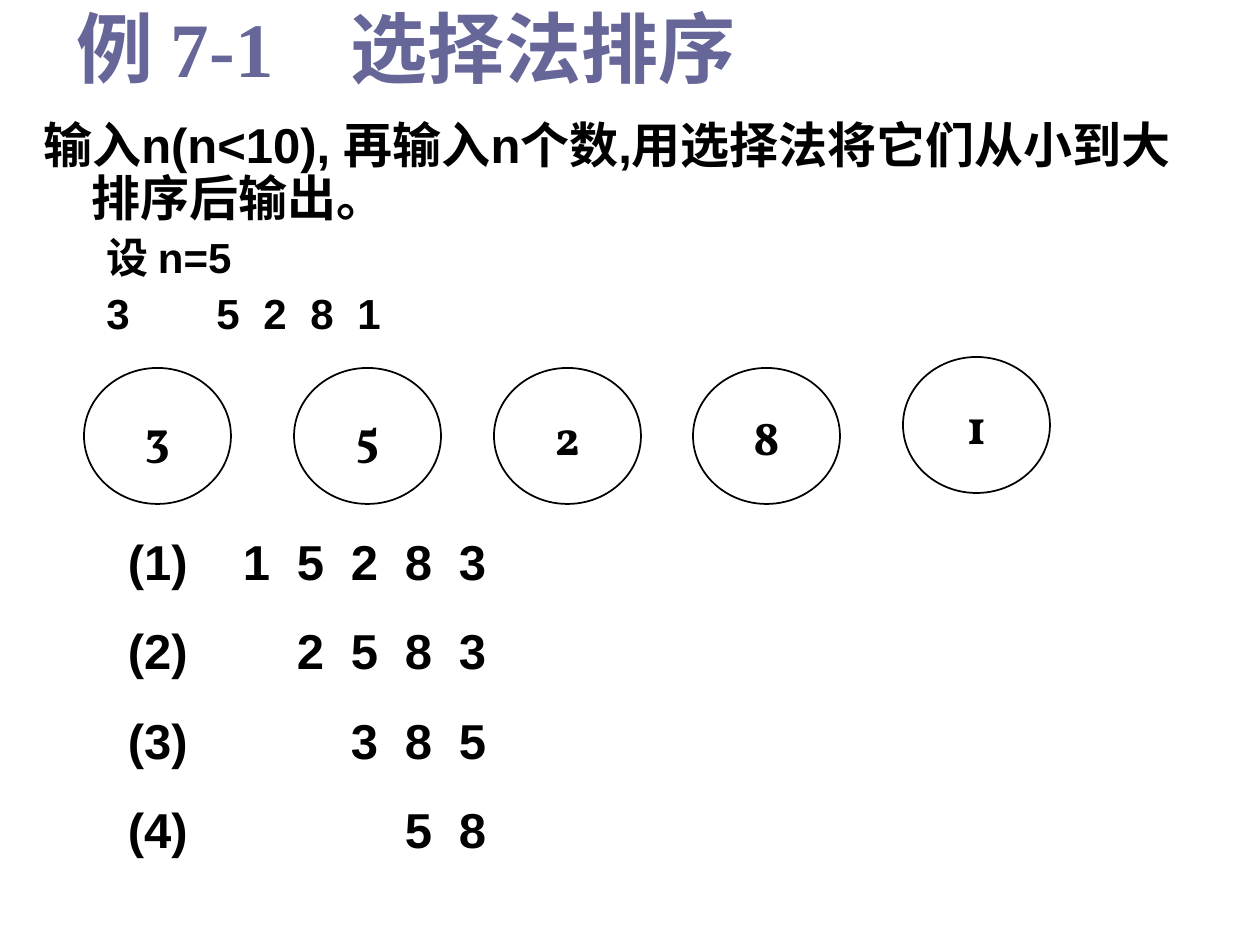
"""Build the selection sort example slide."""
from pptx import Presentation
from pptx import util as u
from pptx.dml.color import RGBColor
from pptx.enum import shapes, text
from pptx.oxml.ns import qn
from lxml import etree

PX = u.Inches(1) // 126
THEME = {
    "ink": RGBColor.from_string("000000"),
    "title_ink": RGBColor.from_string("666699"),
    "title_font": "Times New Roman",
    "body_font": "Arial",
    "circle_font": "Vollkorn",
    "title_size": 44,
    "body_size": 28,
    "small_size": 24,
}


def box(s, left, top, width, height):
    tf = s.shapes.add_textbox(left * PX, top * PX, width * PX, height * PX).text_frame
    tf.word_wrap = True
    return tf


def write(p, words, font, size, color="ink", margin=0, indent=0, tabs=()):
    pPr = p._p.get_or_add_pPr()
    if margin:
        pPr.set("marL", str(margin * PX))
    if indent:
        pPr.set("indent", str(indent * PX))
    if tabs:
        tab_list = etree.SubElement(pPr, qn("a:tabLst"))
        for pos in tabs:
            etree.SubElement(tab_list, qn("a:tab"), pos=str(pos * PX), algn="l")
    r = p.add_run()
    r.text = words
    r.font.name = THEME[font]
    r.font.size = u.Pt(THEME[size])
    r.font.bold = True
    r.font.color.rgb = THEME[color]


prs = Presentation()
prs.slide_width, prs.slide_height = 1260 * PX, 945 * PX
s = prs.slides.add_slide(prs.slide_layouts[6])
numbers = ["3", "5", "2", "8", "1"]

tf = box(s, 64, 0, 1061, 94)
tf.vertical_anchor = text.MSO_ANCHOR.MIDDLE
write(tf.paragraphs[0], "例 7-1\t选择法排序", "title_font", "title_size", "title_ink", tabs=[274])

for number, left, top in zip(numbers, [84, 294, 494, 693, 903], [368, 368, 368, 368, 357]):
    sp = s.shapes.add_shape(shapes.MSO_SHAPE.OVAL, left * PX, top * PX, 147 * PX, 136 * PX)
    sp.shadow.inherit = False
    sp.fill.background()
    sp.line.color.rgb = THEME["ink"]
    sp.line.width = u.Pt(1)
    tf = sp.text_frame
    tf.word_wrap = False
    tf.vertical_anchor = text.MSO_ANCHOR.MIDDLE
    p = tf.paragraphs[0]
    p.alignment = text.PP_ALIGN.CENTER
    write(p, number, "circle_font", "body_size")

tf = box(s, 31, 115, 1166, 231)
p = tf.paragraphs[0]
p.line_spacing = 0.9
write(p, "输入n(n<10), 再输入n个数,用选择法将它们从小到大排序后输出。",
      "body_font", "body_size", margin=48, indent=-48)
for words in ["设 n=5", "\t".join(numbers)]:
    p = tf.add_paragraph()
    p.line_spacing = 0.9
    p.space_before = u.Pt(6)
    write(p, words, "body_font", "small_size", margin=63,
          tabs=[63 + 47 * i for i in range(1, len(numbers))])

tf = box(s, 53, 525, 998, 378)
tf.margin_left = 75 * PX
for i, step in enumerate(["15283", "2583", "385", "58"]):
    p = tf.add_paragraph() if i else tf.paragraphs[0]
    if i:
        p.space_before = u.Pt(17.5)
    write(p, "\t".join([f"({i + 1})", *step]), "body_font", "body_size",
          tabs=[115 + 54 * column for column in range(i, len(numbers))])

prs.save("out.pptx")
